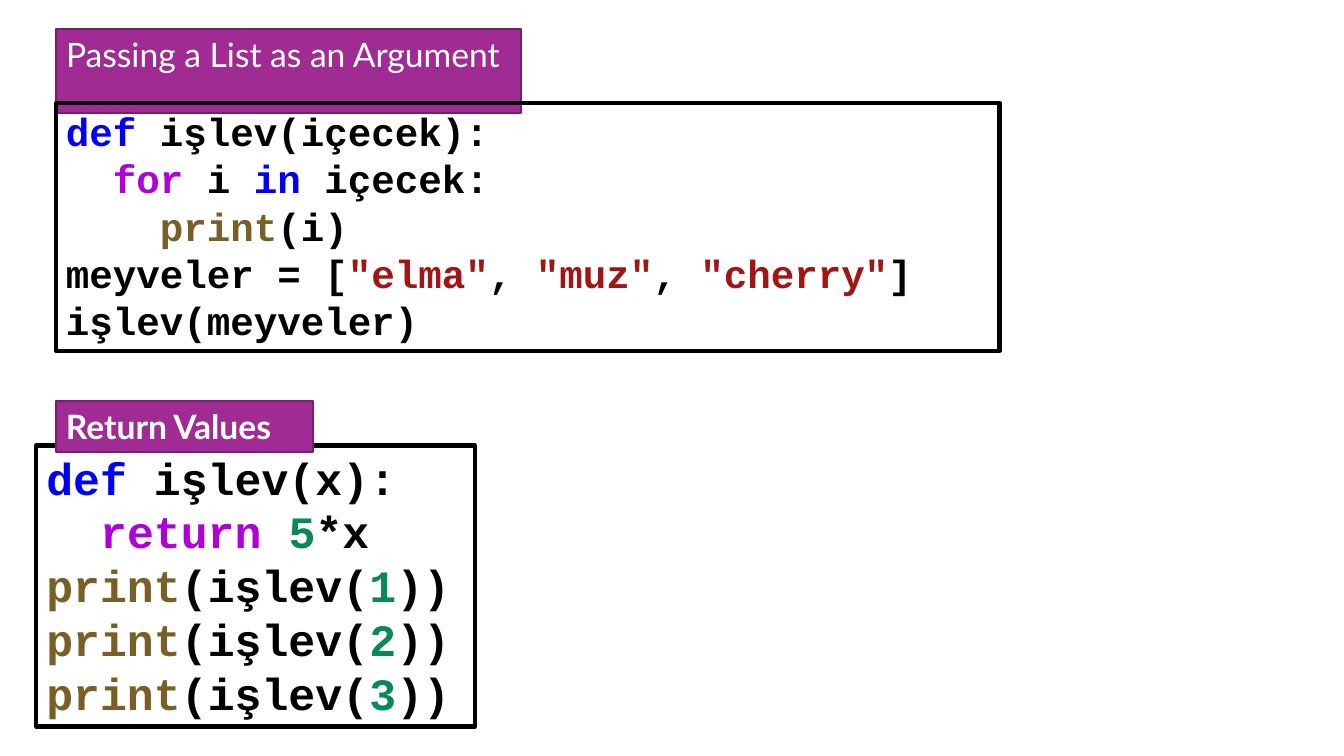
import pptx
import pptx.util
import pptx.dml.color
import pptx.enum.text
from dataclasses import dataclass


@dataclass(frozen=True)
class Theme:
    label_font: str = "Lato"
    code_font: str = "Courier New"
    label_size: int = 24
    gap_size: int = 18
    label_fill: str = "A02B93"
    label_line: str = "76206D"
    white: str = "FFFFFF"
    plain: str = "000000"
    keyword: str = "0000FF"
    control: str = "AF00DB"
    builtin: str = "795E26"
    string: str = "A31515"
    number: str = "09885A"


def color(value):
    return pptx.dml.color.RGBColor.from_string(value)


class SlideBuilder:
    COLUMNS, ROWS = 48, 27

    def __init__(self, presentation, theme):
        self.theme = theme
        self.column = presentation.slide_width / self.COLUMNS
        self.row = presentation.slide_height / self.ROWS
        self.slide = presentation.slides.add_slide(presentation.slide_layouts[5])

    def place(self, shape, left, top, width, height):
        shape.left, shape.width = int(left * self.column), int(width * self.column)
        shape.top, shape.height = int(top * self.row), int(height * self.row)

    def box(self, area):
        shape = self.slide.shapes.add_textbox(0, 0, 0, 0)
        self.place(shape, *area)
        return shape

    def outline(self, shape, line_color, width):
        shape.line.color.rgb = color(line_color)
        shape.line.width = pptx.util.Pt(width)

    def frame(self, shape, wrap=True):
        frame = shape.text_frame
        frame.word_wrap = wrap
        frame.auto_size = pptx.enum.text.MSO_AUTO_SIZE.SHAPE_TO_FIT_TEXT
        frame.vertical_anchor = pptx.enum.text.MSO_ANCHOR.TOP
        return frame

    def run(self, paragraph, text, font, size, text_color, bold):
        run = paragraph.add_run()
        run.text = text
        run.font.name = font
        run.font.size = pptx.util.Pt(size)
        run.font.bold = bold
        run.font.color.rgb = color(text_color)

    def label(self, shape, pieces, bold=False, wrap=True):
        theme = self.theme
        shape.fill.solid()
        shape.fill.fore_color.rgb = color(theme.label_fill)
        self.outline(shape, theme.label_line, 1.5)
        paragraph = self.frame(shape, wrap).paragraphs[0]
        paragraph.alignment = pptx.enum.text.PP_ALIGN.LEFT
        for text, size in pieces:
            self.run(paragraph, text, theme.label_font, size, theme.white, bold)

    def title(self, area, text):
        shape = self.slide.shapes.title
        self.place(shape, *area)
        self.label(shape, [(text, self.theme.label_size)], wrap=False)

    def code(self, area, size, lines):
        shape = self.box(area)
        self.outline(shape, self.theme.plain, 3)
        frame = self.frame(shape)
        for index, line in enumerate(lines):
            paragraph = frame.add_paragraph() if index else frame.paragraphs[0]
            for text, text_color in line:
                self.run(paragraph, text, self.theme.code_font, size, text_color, True)


def main():
    presentation = pptx.Presentation()
    presentation.slide_width = pptx.util.Inches(13.33)
    presentation.slide_height = pptx.util.Inches(7.5)
    theme = Theme()
    builder = SlideBuilder(presentation, theme)
    plain = theme.plain

    # Passing a list: title and listing
    builder.title((2, 1.04, 16.6, 1.82), "Passing a List as an Argument")
    builder.code((2, 3.67, 33.7, 8.86), 28, [
        [("def", theme.keyword), (" işlev(içecek):", plain)],
        [("  ", plain), ("for", theme.control), (" i ", plain),
         ("in", theme.keyword), (" içecek:", plain)],
        [("    ", plain), ("print", theme.builtin), ("(i)", plain)],
        [("meyveler = [", plain), ('"elma"', theme.string), (", ", plain),
         ('"muz"', theme.string), (", ", plain),
         ('"cherry"', theme.string), ("]", plain)],
        [("işlev(meyveler)", plain)],
    ])

    # Return values: listing with its label on top
    calls = [[("print", theme.builtin), ("(işlev(", plain),
              (str(number), theme.number), ("))", plain)]
             for number in range(1, 4)]
    builder.code((1.3, 15.91, 15.66, 10.04), 32, [
        [("def", theme.keyword), (" işlev(x):", plain)],
        [("  ", plain), ("return ", theme.control),
         ("5", theme.number), ("*x", plain)],
        *calls,
    ])
    builder.label(builder.box((2, 14.33, 9.18, 1.82)),
                  [("Return", theme.label_size), (" ", theme.gap_size),
                   ("Values", theme.label_size)], bold=True)

    presentation.save("out.pptx")


if __name__ == "__main__":
    main()
